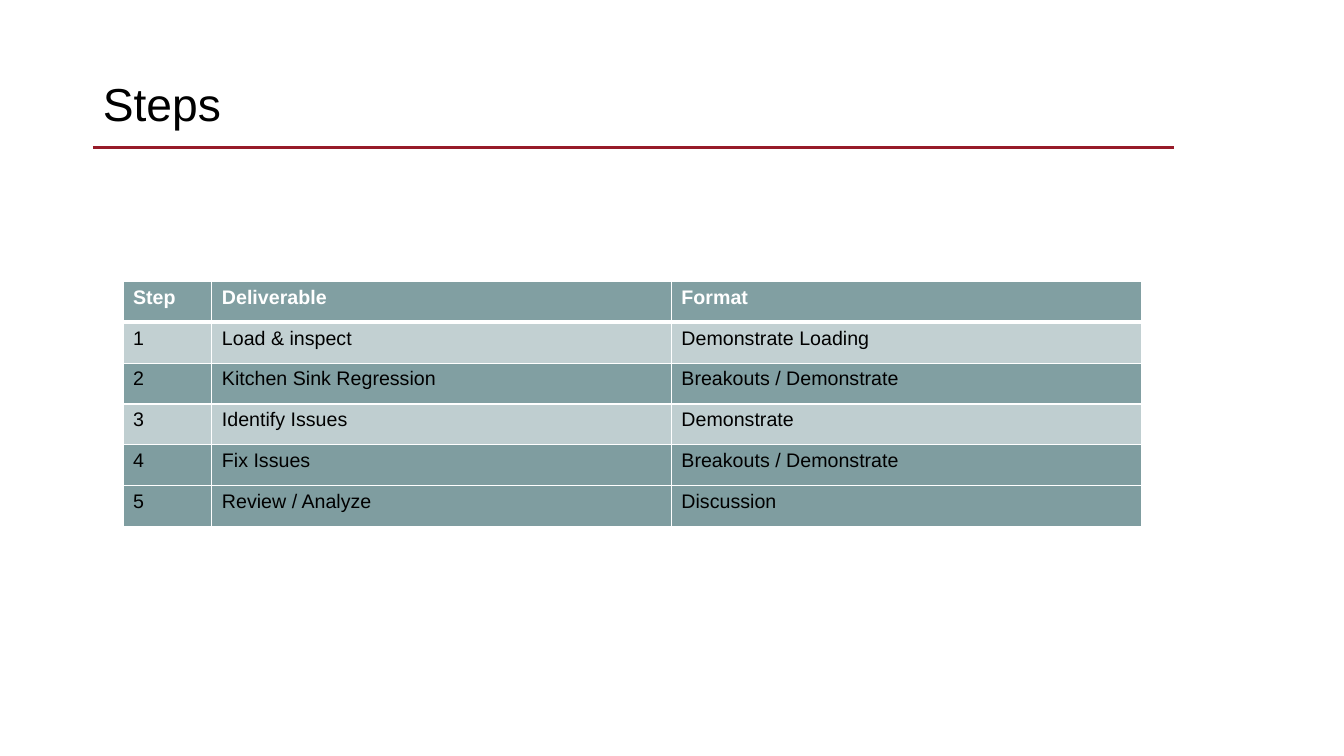
from lxml import etree
from pptx import Presentation
from pptx import util as u
from pptx.dml.color import RGBColor
from pptx.enum import shapes, text
from pptx.oxml.ns import qn

COLORS = {"rule": "971B29", "teal": "2E6064", "black": "000000", "white": "FFFFFF"}
FONT = "Arial"
STEPS = [
    ("Step", "Deliverable", "Format"),
    ("1", "Load & inspect", "Demonstrate Loading"),
    ("2", "Kitchen Sink Regression", "Breakouts / Demonstrate"),
    ("3", "Identify Issues", "Demonstrate"),
    ("4", "Fix Issues", "Breakouts / Demonstrate"),
    ("5", "Review / Analyze", "Discussion"),
]
ROW_OPACITY = [60, 29, 60, 30, 61, 61]
COLUMN_WIDTHS = [2.24, 11.58, 11.86]
ROW_HEIGHT = 1.03


def color(name):
    return RGBColor.from_string(COLORS[name])


def apply_format(target, values):
    for attribute, value in values.items():
        setattr(target, attribute, value)


def format_font(font, size, color_name, bold=False):
    apply_format(font, {"name": FONT, "size": u.Pt(size), "bold": bold})
    font.color.rgb = color(color_name)


def add_title(slide, heading):
    title = slide.shapes.title
    apply_format(title, {"left": u.Cm(2.34), "top": u.Cm(0.84),
                         "width": u.Cm(29.21), "height": u.Cm(3.68)})
    title.text_frame.text = heading
    apply_format(title.text_frame, {"vertical_anchor": text.MSO_ANCHOR.MIDDLE,
                                    "auto_size": text.MSO_AUTO_SIZE.NONE})
    paragraph = title.text_frame.paragraphs[0]
    apply_format(paragraph, {"alignment": text.PP_ALIGN.LEFT, "line_spacing": 0.9})
    format_font(paragraph.runs[0].font, 33, "black")


def add_title_rule(slide):
    rule = slide.shapes.add_connector(
        shapes.MSO_CONNECTOR.STRAIGHT, u.Cm(2.34), u.Cm(3.71), u.Cm(29.59), u.Cm(3.71))
    rule.line.color.rgb = color("rule")
    rule.line.width = u.Pt(2)
    etree.SubElement(rule._element.spPr, qn("a:effectLst"))


def fill_cell(cell, opacity):
    """Fill with teal at the given opacity in percent."""
    cell.fill.solid()
    cell.fill.fore_color.rgb = color("teal")
    tint = next(cell._tc.tcPr.iter(qn("a:srgbClr")))
    etree.SubElement(tint, qn("a:alpha"), val=str(opacity * 1000))


def add_borders(cell, widths):
    """Draw white borders; widths in points for left, right, top and bottom."""
    for position, (side, width) in enumerate(zip("LRTB", widths)):
        border = etree.Element(qn(f"a:ln{side}"), w=str(u.Pt(width)))
        solid = etree.SubElement(border, qn("a:solidFill"))
        etree.SubElement(solid, qn("a:srgbClr"), val=COLORS["white"])
        cell._tc.tcPr.insert(position, border)


def add_steps_table(slide):
    table = slide.shapes.add_table(
        len(STEPS), len(COLUMN_WIDTHS), u.Cm(3.1), u.Cm(7.09),
        u.Cm(sum(COLUMN_WIDTHS)), u.Cm(ROW_HEIGHT * len(STEPS))).table
    for column, width in zip(table.columns, COLUMN_WIDTHS):
        column.width = u.Cm(width)
    for r, (step, opacity) in enumerate(zip(STEPS, ROW_OPACITY)):
        table.rows[r].height = u.Cm(ROW_HEIGHT)
        header = r == 0
        for c, label in enumerate(step):
            cell = table.cell(r, c)
            cell.text = label
            format_font(cell.text_frame.paragraphs[0].runs[0].font, 14,
                        "white" if header else "black", header)
            fill_cell(cell, opacity)
            add_borders(cell, (1, 1, 3 if r == 1 else 1, 3 if header else 1))


def main():
    deck = Presentation()
    apply_format(deck, {"slide_width": u.Cm(33.87), "slide_height": u.Cm(19.05)})
    slide = deck.slides.add_slide(deck.slide_layouts.get_by_name("Title Only"))
    add_title_rule(slide)
    add_title(slide, "Steps")
    add_steps_table(slide)
    deck.save("out.pptx")


if __name__ == "__main__":
    main()
